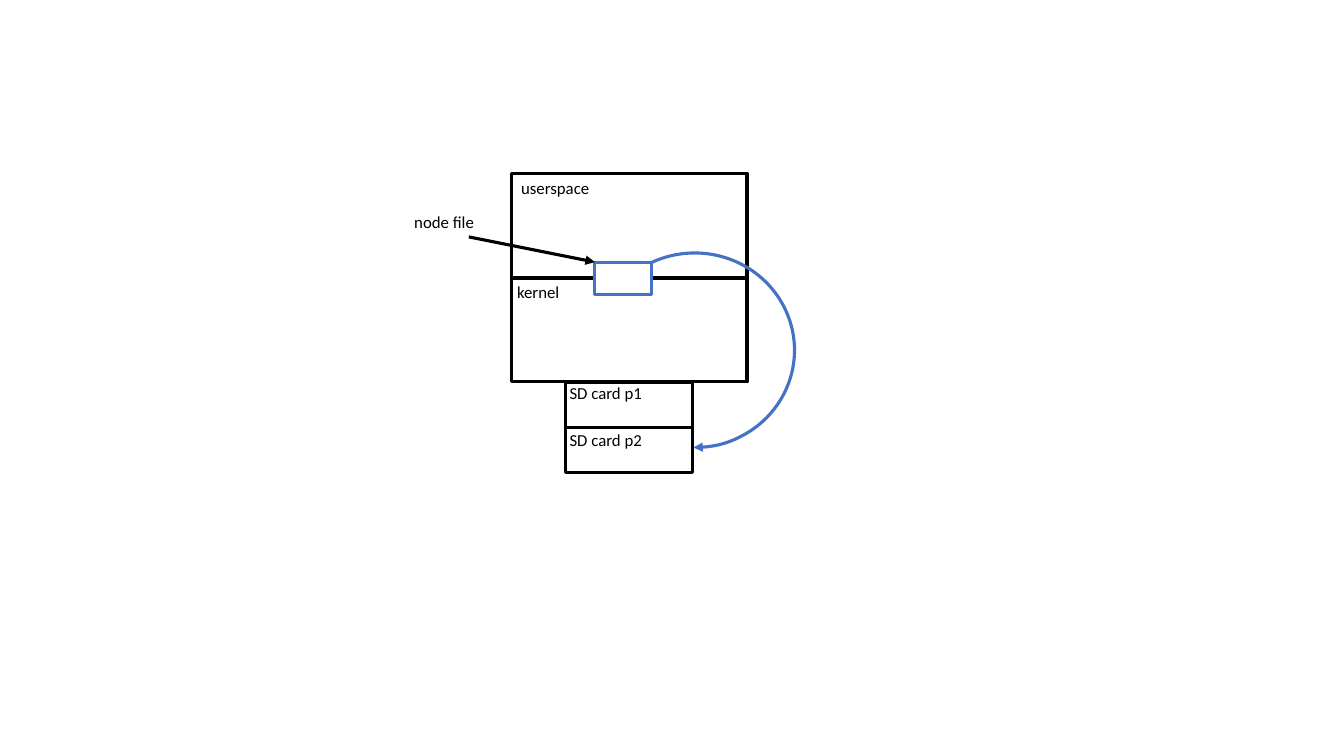
import pptx
import pptx.util
import pptx.dml.color
import pptx.enum.shapes
import pptx.oxml.ns
import lxml.etree

BLACK, BLUE, WHITE = "000000", "4472C4", "FFFFFF"
FONT, TEXT_SIZE, LINE_WIDTH = "Calibri", 12, 2.25
LABEL_SIZE = (1.28, 0.3)

STACKS = [
    {"left": 5.07, "top": 1.72, "size": (2.34, 1.03), "pitch": 1.04,
     "layers": [("userspace", 0, -0.01), ("kernel", -0.04, -0.01)]},
    {"left": 5.61, "top": 3.79, "size": (1.26, 0.45), "pitch": 0.45,
     "layers": [("SD card p1", -0.06, -0.04), ("SD card p2", -0.06, -0.03)]},
]
NODE = (5.9, 2.6, 0.56, 0.32)
NODE_LABEL = ("node file", 4.01, 2.05)
POINTER_START = (4.65, 2.35)
MOUNT_ARC = (5.9, 2.51, 1.98, 1.93)
ARC_ANGLES = (243.73, 90.75)
ANGLE_UNIT = 60000 / 100000


def inches(values):
    return [pptx.util.Inches(value) for value in values]


def color(hex_string):
    return pptx.dml.color.RGBColor.from_string(hex_string)


def style_line(line, hex_string):
    line.color.rgb = color(hex_string)
    line.width = pptx.util.Pt(LINE_WIDTH)


def add_arrowhead(line):
    outline = line._get_or_add_ln()
    lxml.etree.SubElement(outline, pptx.oxml.ns.qn("a:tailEnd"), type="triangle")


def add_block(slide, box, outline):
    block = slide.shapes.add_shape(
        pptx.enum.shapes.MSO_SHAPE.RECTANGLE, *inches(box))
    block.shadow.inherit = False
    block.fill.solid()
    block.fill.fore_color.rgb = color(WHITE)
    style_line(block.line, outline)


def add_label(slide, text, left, top):
    label = slide.shapes.add_textbox(*inches((left, top, *LABEL_SIZE)))
    label.text_frame.word_wrap = True
    run = label.text_frame.paragraphs[0].add_run()
    run.text = text
    run.font.name = FONT
    run.font.size = pptx.util.Pt(TEXT_SIZE)
    run.font.color.rgb = color(BLACK)


def add_stack(slide, stack):
    tops = [stack["top"] + row * stack["pitch"] for row in range(len(stack["layers"]))]
    for top in tops:
        add_block(slide, (stack["left"], top, *stack["size"]), BLACK)
    for top, (text, shift_x, shift_y) in zip(tops, stack["layers"]):
        add_label(slide, text, stack["left"] + shift_x, top + shift_y)


def add_pointer(slide):
    pointer = slide.shapes.add_connector(
        pptx.enum.shapes.MSO_CONNECTOR.STRAIGHT,
        *inches((*POINTER_START, *NODE[:2])))
    style_line(pointer.line, BLACK)
    add_arrowhead(pointer.line)
    lxml.etree.SubElement(pointer._element.spPr, pptx.oxml.ns.qn("a:effectLst"))


def add_mount_arc(slide):
    arc = slide.shapes.add_shape(pptx.enum.shapes.MSO_SHAPE.ARC, *inches(MOUNT_ARC))
    arc.shadow.inherit = False
    arc.fill.background()
    for index, angle in enumerate(ARC_ANGLES):
        arc.adjustments[index] = angle * ANGLE_UNIT
    style_line(arc.line, BLUE)
    add_arrowhead(arc.line)


def main():
    deck = pptx.Presentation()
    deck.slide_width, deck.slide_height = inches((13.33, 7.5))
    slide = deck.slides.add_slide(deck.slide_layouts.get_by_name("Blank"))
    for stack in STACKS:
        add_stack(slide, stack)
    add_block(slide, NODE, BLUE)
    add_pointer(slide)
    add_label(slide, *NODE_LABEL)
    add_mount_arc(slide)
    deck.save("out.pptx")


if __name__ == "__main__":
    main()
